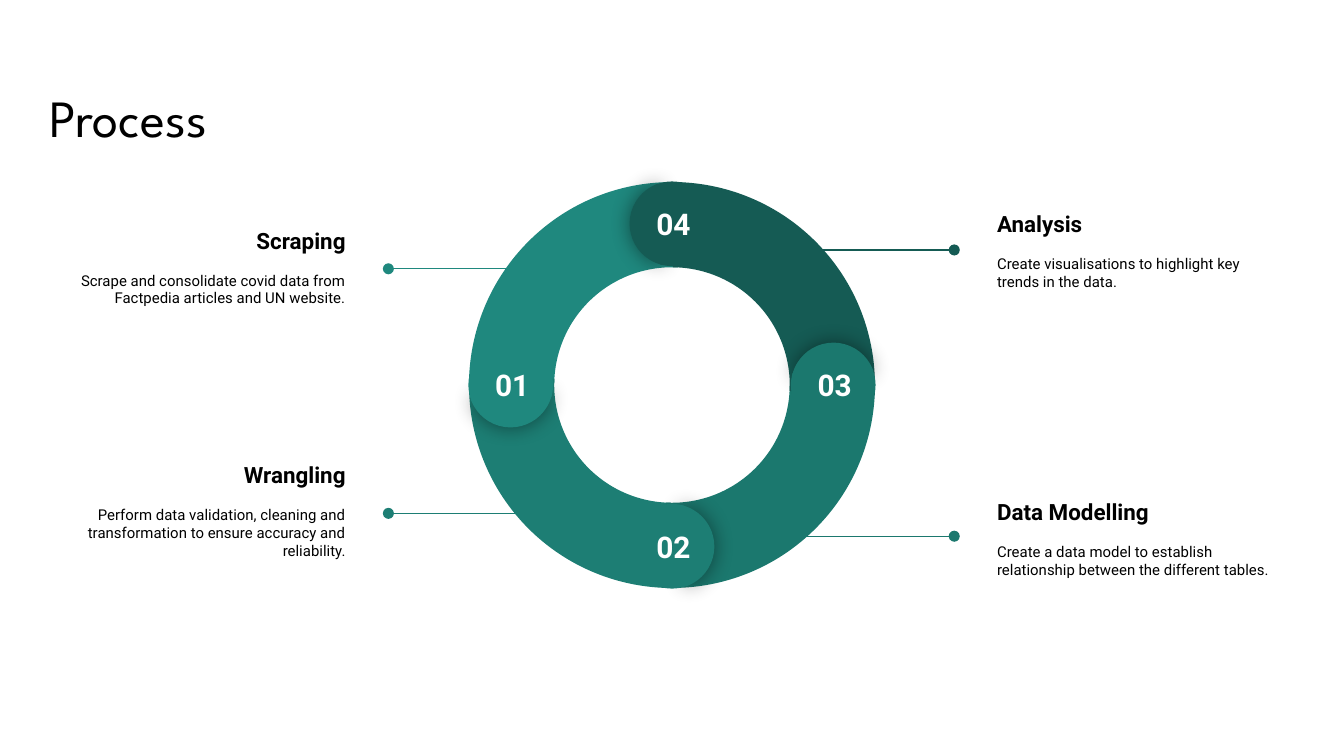
import dataclasses
import math

import pptx
import pptx.dml.color
import pptx.enum.shapes
import pptx.enum.text
import pptx.oxml
import pptx.oxml.ns
import pptx.util

COLUMNS, ROWS = 100, 56.25
CELL = pptx.util.Inches(0.1)
CENTRE_COLUMN, CENTRE_ROW = 50, 28.65
RING_SIZE, CAP_SIZE, CAP_ORBIT = 30.2, 6.3, 12
ARC_ADJUSTMENTS = (126.23, 181.77, 0.21)
SHADED_CAP_ADJUSTMENTS = (61.9, 149.96)
PLAIN_CAP_ADJUSTMENTS = (40.28, 171.84)
BLACK, WHITE = "000000", "FFFFFF"
SHAPES = pptx.enum.shapes.MSO_SHAPE
ALIGN = pptx.enum.text.PP_ALIGN
ANCHOR = pptx.enum.text.MSO_ANCHOR
NAMESPACE = pptx.oxml.ns.nsdecls("a")


@dataclasses.dataclass(frozen=True)
class Step:
    number: str
    heading: str
    detail: str
    colour: str
    angle: int
    text_column: float
    text_row: float
    line_start: float
    line_end: float
    line_row: float
    align: ALIGN


STEPS = (
    Step("01", "Scraping",
         "Scrape and consolidate covid data from Factpedia articles and UN website.",
         "1F887E", 180, 3.5, 12.8, 40.3, 28.9, 20, ALIGN.RIGHT),
    Step("02", "Wrangling",
         "Perform data validation, cleaning and transformation to ensure accuracy and reliability.",
         "1D7E74", 90, 3.5, 30.9, 43.2, 28.9, 38.2, ALIGN.RIGHT),
    Step("03", "Data Modelling",
         "Create a data model to establish relationship between the different tables.",
         "1B786E", 0, 73.2, 33, 57, 71, 39.9, ALIGN.LEFT),
    Step("04", "Analysis",
         "Create visualisations to highlight key trends in the data.",
         "155B54", 270, 73.2, 11.6, 57, 71, 18.6, ALIGN.LEFT),
)


def cells(count: float) -> int:
    return round(count * CELL)


def rgb(colour: str) -> pptx.dml.color.RGBColor:
    return pptx.dml.color.RGBColor.from_string(colour)


def format_runs(para, typeface: str, size: float, colour: str, bold: bool = False) -> None:
    for span in para.runs:
        span.font.name = typeface
        span.font.size = pptx.util.Pt(size)
        span.font.bold = bold
        span.font.color.rgb = rgb(colour)


def add_text_box(page, column: float, row: float, width: float, height: float,
                 text: str, anchor: ANCHOR):
    box = page.shapes.add_textbox(cells(column), cells(row), cells(width), cells(height))
    frame = box.text_frame
    frame.word_wrap = True
    frame.vertical_anchor = anchor
    frame.margin_left = frame.margin_right = cells(1)
    frame.margin_top = frame.margin_bottom = cells(1)
    frame.text = text
    return frame


def add_round_piece(page, kind: SHAPES, column: float, row: float, size: float,
                    rotation: float, adjustments: tuple[float, ...], colour: str):
    piece = page.shapes.add_shape(kind, cells(column - size / 2), cells(row - size / 2),
                                  cells(size), cells(size))
    for index, value in enumerate(adjustments):
        piece.adjustments[index] = value
    piece.rotation = rotation % 360
    piece.fill.solid()
    piece.fill.fore_color.rgb = rgb(colour)
    piece.line.fill.background()
    piece.shadow.inherit = False
    return piece


def add_glow_shadow(piece) -> None:
    effects = piece._element.spPr.find(pptx.oxml.ns.qn("a:effectLst"))
    effects.append(pptx.oxml.parse_xml(
        f'<a:outerShdw {NAMESPACE} blurRad="{pptx.util.Pt(11.2)}" dist="0" dir="0" '
        f'algn="ctr" rotWithShape="0"><a:srgbClr val="{BLACK}">'
        '<a:alpha val="43000"/></a:srgbClr></a:outerShdw>'))


def draw_arc(page, step: Step) -> None:
    add_round_piece(page, SHAPES.BLOCK_ARC, CENTRE_COLUMN, CENTRE_ROW, RING_SIZE,
                    step.angle + 150, ARC_ADJUSTMENTS, step.colour)


def draw_cap(page, step: Step) -> None:
    column = CENTRE_COLUMN + CAP_ORBIT * math.cos(math.radians(step.angle))
    row = CENTRE_ROW + CAP_ORBIT * math.sin(math.radians(step.angle))
    shaded = add_round_piece(page, SHAPES.PIE, column, row, CAP_SIZE,
                             step.angle + 90.7, SHADED_CAP_ADJUSTMENTS, step.colour)
    add_glow_shadow(shaded)
    add_round_piece(page, SHAPES.PIE, column, row, CAP_SIZE,
                    step.angle + 270, PLAIN_CAP_ADJUSTMENTS, step.colour)
    label = add_text_box(page, column - 2.65, row - 2.35, 5.5, 2.9, step.number, ANCHOR.TOP)
    para = label.paragraphs[0]
    para.alignment = ALIGN.CENTER
    format_runs(para, "Roboto", 16, WHITE, bold=True)


def draw_description(page, step: Step) -> None:
    frame = add_text_box(page, step.text_column, step.text_row, 23.2, 14.1,
                         step.heading, ANCHOR.MIDDLE)
    heading = frame.paragraphs[0]
    heading.alignment = step.align
    format_runs(heading, "Roboto", 12, BLACK, bold=True)
    detail = frame.add_paragraph()
    detail.text = step.detail
    detail.alignment = step.align
    detail.space_before = pptx.util.Pt(9.4)
    detail.space_after = pptx.util.Pt(16)
    format_runs(detail, "Roboto", 8, BLACK)


def draw_pointer(page, step: Step) -> None:
    pointer = page.shapes.add_connector(
        pptx.enum.shapes.MSO_CONNECTOR.STRAIGHT,
        cells(step.line_start), cells(step.line_row),
        cells(step.line_end), cells(step.line_row))
    pointer.line.width = pptx.util.Pt(0.75)
    pointer.line.color.rgb = rgb(step.colour)
    properties = pointer._element.spPr
    properties.find(pptx.oxml.ns.qn("a:ln")).append(
        pptx.oxml.parse_xml(f'<a:tailEnd {NAMESPACE} type="oval" w="med" len="med"/>'))
    properties.append(pptx.oxml.parse_xml(f"<a:effectLst {NAMESPACE}/>"))


def main() -> None:
    deck = pptx.Presentation()
    deck.slide_width, deck.slide_height = cells(COLUMNS), cells(ROWS)
    page = deck.slides.add_slide(deck.slide_layouts[6])
    title = add_text_box(page, 2.7, 4.7, 84, 7.9, "Process", ANCHOR.MIDDLE)
    format_runs(title.paragraphs[0], "League Spartan", 28, BLACK)
    for draw in (draw_arc, draw_cap, draw_description, draw_pointer):
        for step in STEPS:
            draw(page, step)
    deck.save("out.pptx")


if __name__ == "__main__":
    main()
